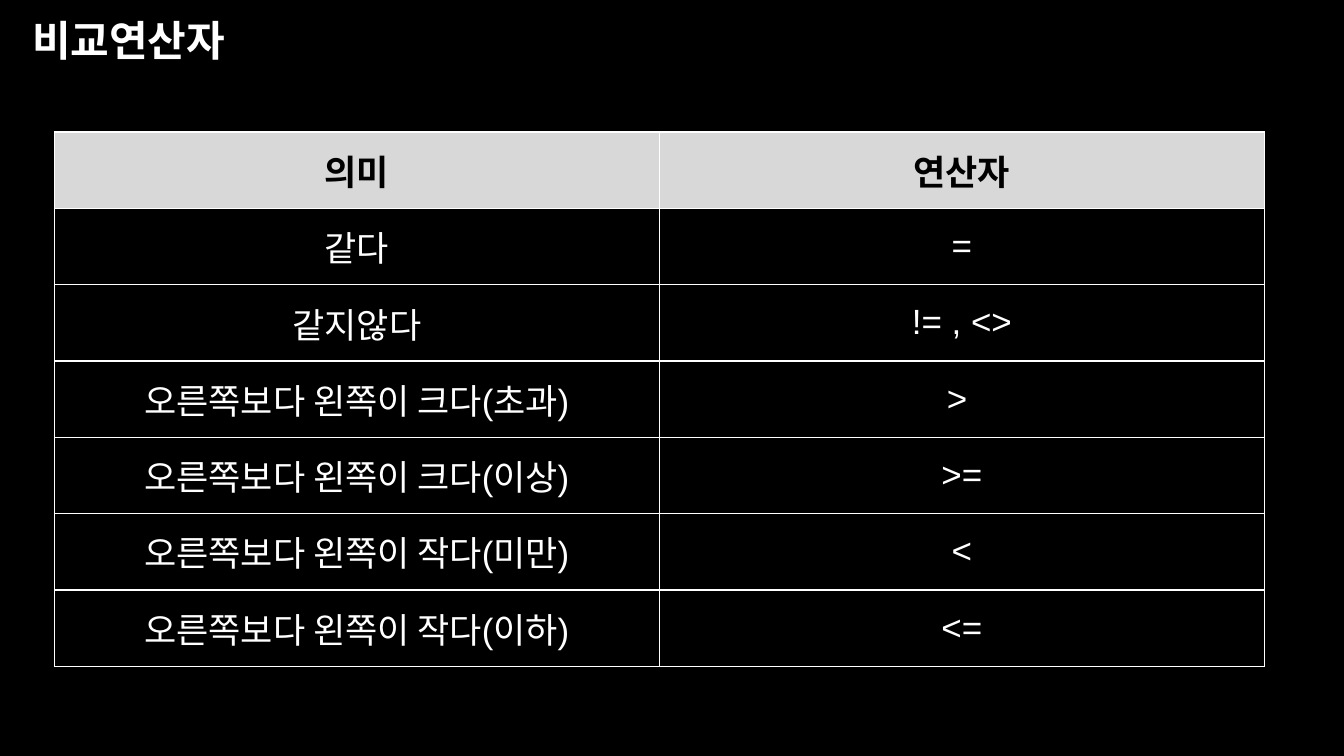
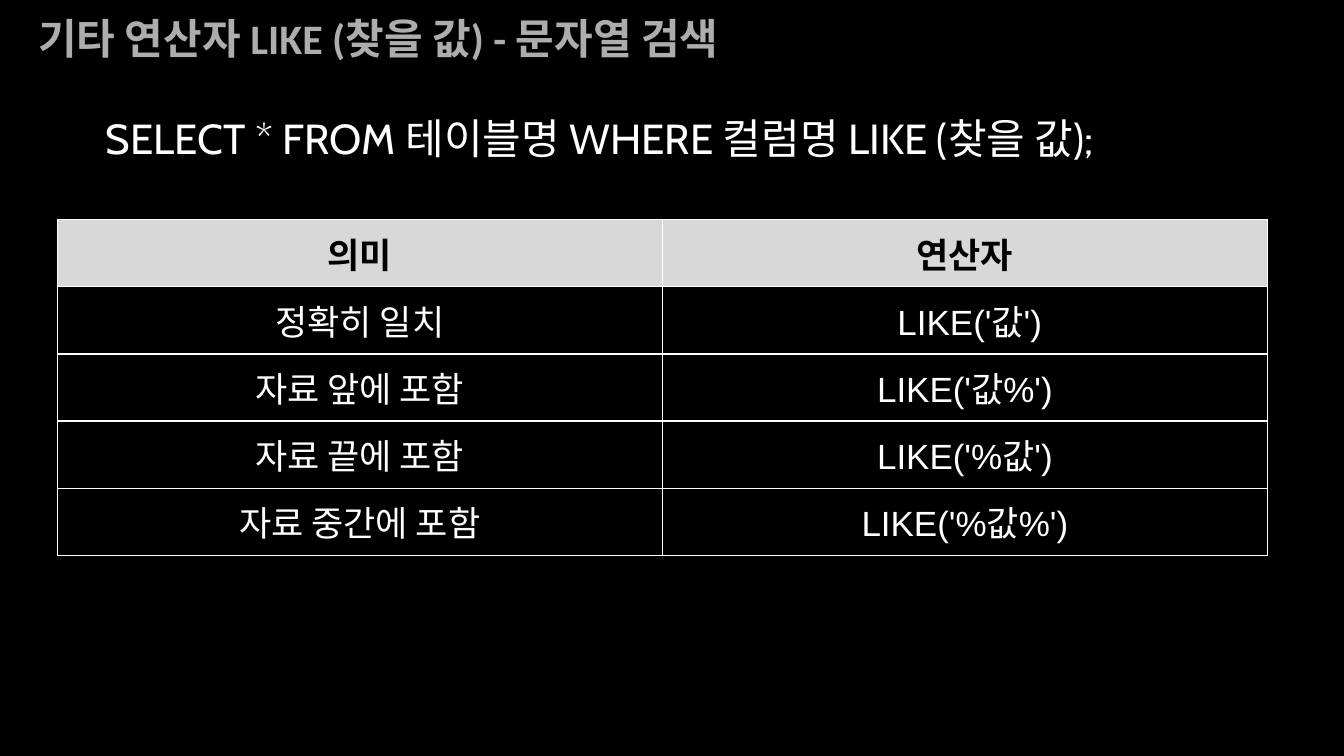
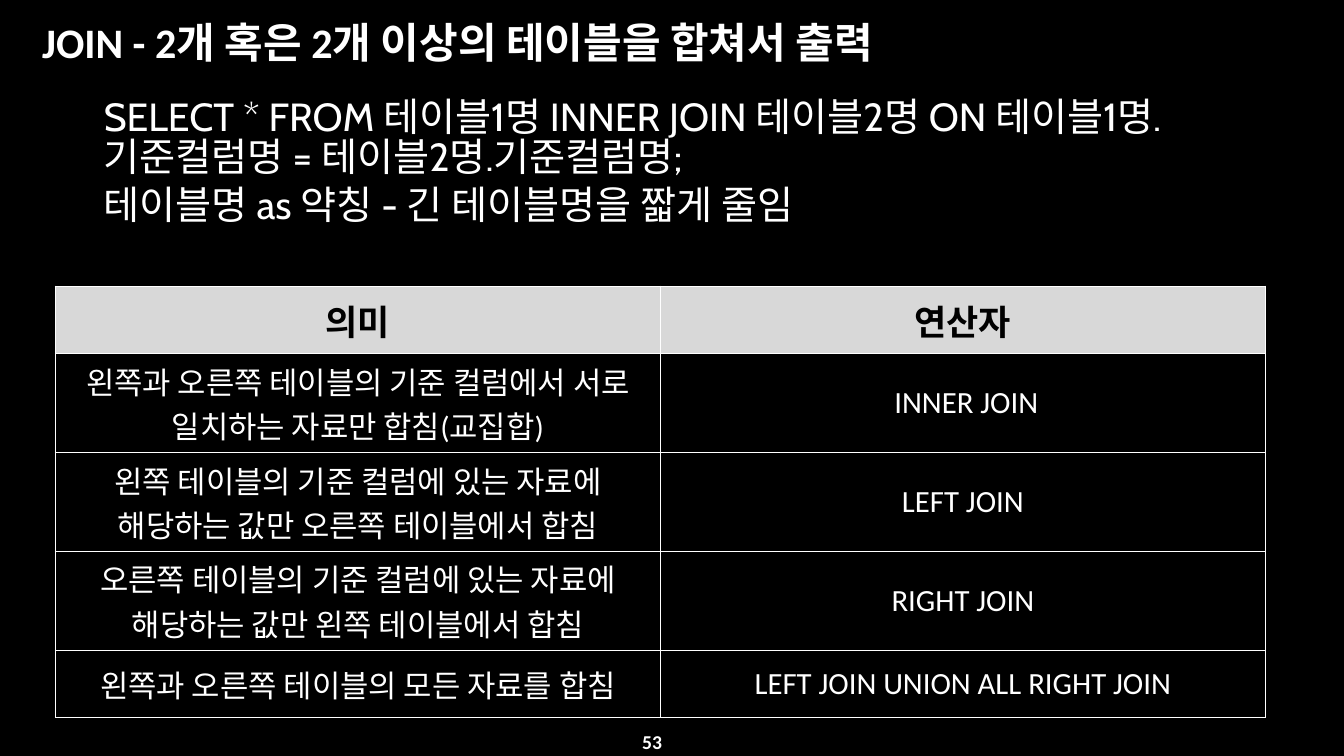
from lxml import etree
from pptx import Presentation
from pptx import util as u
from pptx.dml import color
from pptx.enum import text
from pptx.oxml import ns

WIDTH, HEIGHT = 13.33, 7.5
CONTENT_WIDTH = 12
BLACK, WHITE, GREY, HEADER_GREY = "000000", "FFFFFF", "ADADAD", "D8D8D8"
HEADINGS = ("의미", "연산자")
BODY_INDENT = 0.48

COMPARISONS = [
    ("같다", "="),
    ("같지않다", "!= , <>"),
    ("오른쪽보다 왼쪽이 크다(초과)", "> "),
    ("오른쪽보다 왼쪽이 크다(이상)", ">="),
    ("오른쪽보다 왼쪽이 작다(미만)", "<"),
    ("오른쪽보다 왼쪽이 작다(이하)", "<="),
]
LIKE_PATTERNS = [
    ("정확히 일치", " LIKE('값')"),
    ("자료 앞에 포함", "LIKE('값%')"),
    ("자료 끝에 포함", "LIKE('%값')"),
    ("자료 중간에 포함", "LIKE('%값%')"),
]
JOINS = [
    ("왼쪽과 오른쪽 테이블의 기준 컬럼에서 서로 일치하는 자료만 합침(교집합)", " INNER JOIN"),
    ("왼쪽 테이블의 기준 컬럼에 있는 자료에 해당하는 값만 오른쪽 테이블에서 합침", "LEFT JOIN"),
    ("오른쪽 테이블의 기준 컬럼에 있는 자료에 해당하는 값만 왼쪽 테이블에서 합침", "RIGHT JOIN"),
    ("왼쪽과 오른쪽 테이블의 모든 자료를 합침", "LEFT JOIN UNION ALL RIGHT JOIN"),
]


def rgb(value):
    """Turn a hex string into a colour."""
    return color.RGBColor.from_string(value)


def style(paragraph, size, font, fill=WHITE, bold=False):
    """Format every run of a paragraph."""
    for run in paragraph.runs:
        run.font.size = u.Pt(size)
        run.font.name = font
        run.font.bold = bold
        run.font.color.rgb = rgb(fill)


def add_text(slide, box, lines, size, font, fill=WHITE, bold=False, spacing=0.9):
    """Add a wrapping text box with one paragraph per line."""
    shape = slide.shapes.add_textbox(*(u.Inches(length) for length in box))
    frame = shape.text_frame
    frame.word_wrap = True
    frame.text = "\n".join(lines)
    for paragraph in frame.paragraphs:
        paragraph.line_spacing = spacing
        style(paragraph, size, font, fill, bold)
    return frame


def add_title(slide, left, top, height, title, font, fill=WHITE):
    """Add the slide heading."""
    frame = add_text(slide, (left, top, CONTENT_WIDTH, height), [title], 30, font, fill, True)
    frame.vertical_anchor = text.MSO_ANCHOR.MIDDLE


def add_syntax(slide, left, top, height, lines, size, spacing):
    """Add the indented query syntax under the heading."""
    frame = add_text(slide, (left, top, CONTENT_WIDTH, height), lines, size, "Cabin", spacing=spacing)
    frame.margin_left = u.Inches(BODY_INDENT)
    for paragraph in frame.paragraphs[1:]:
        paragraph.space_before = u.Pt(5.6)


def add_page_number(slide, number):
    """Add the page number at the foot of the slide."""
    frame = add_text(slide, (WIDTH * 0.45, HEIGHT * 0.95, WIDTH * 0.05, 0.47),
                     [number], 14, "Calibri", bold=True, spacing=1)
    frame.vertical_anchor = text.MSO_ANCHOR.MIDDLE
    frame.paragraphs[0].alignment = text.PP_ALIGN.RIGHT


def outline(cell):
    """Draw a thin white border on all sides of a cell."""
    properties = cell._tc.get_or_add_tcPr()
    for side in ("a:lnL", "a:lnR", "a:lnT", "a:lnB"):
        line = etree.SubElement(properties, ns.qn(side), w=str(u.Pt(1)))
        solid = etree.SubElement(line, ns.qn("a:solidFill"))
        etree.SubElement(solid, ns.qn("a:srgbClr"), val=WHITE)


def fill_cell(cell, content, is_header, size, font):
    """Write and format one table cell."""
    outline(cell)
    if is_header:
        cell.fill.solid()
        cell.fill.fore_color.rgb = rgb(HEADER_GREY)
    else:
        cell.fill.background()
    cell.vertical_anchor = text.MSO_ANCHOR.MIDDLE
    cell.text_frame.text = content
    paragraph = cell.text_frame.paragraphs[0]
    paragraph.alignment = text.PP_ALIGN.CENTER
    if is_header:
        style(paragraph, 25, "Arial", BLACK, True)
    else:
        style(paragraph, size, font)


def add_meaning_table(slide, left, top, heights, entries, size=25, font="Arial"):
    """Add a two-column table of meanings and operators."""
    rows = [HEADINGS, *entries]
    box = (left, top, CONTENT_WIDTH, sum(heights))
    frame = slide.shapes.add_table(len(rows), len(HEADINGS), *(u.Inches(length) for length in box))
    table = frame.table
    table.horz_banding = False
    for index, (row, height) in enumerate(zip(rows, heights)):
        table.rows[index].height = u.Inches(height)
        for column, content in enumerate(row):
            fill_cell(table.cell(index, column), content, index == 0, size, font)


def add_slide(presentation):
    """Add a blank slide."""
    return presentation.slides.add_slide(presentation.slide_layouts[6])


def build_comparison(slide):
    """Build the slide on comparison operators."""
    add_title(slide, 0.22, 0.03, 0.8, "비교연산자", "Cabin")
    add_meaning_table(slide, 0.54, 1.31, [5.3 / 7] * 7, COMPARISONS)


def build_like(slide):
    """Build the slide on string search."""
    add_title(slide, 0.28, -0.02, 0.86, "기타 연산자 LIKE (찾을 값) - 문자열 검색", "Calibri", GREY)
    add_syntax(slide, 0.57, 1.12, 0.63,
               ["SELECT * FROM 테이블명 WHERE 컬럼명 LIKE (찾을 값);"], 30, 0.9)
    add_meaning_table(slide, 0.57, 2.18, [3.33 / 5] * 5, LIKE_PATTERNS)


def build_join(slide):
    """Build the slide on joins."""
    add_title(slide, 0.32, 0, 0.89, "JOIN - 2개 혹은 2개 이상의 테이블을 합쳐서 출력", "Calibri")
    add_syntax(slide, 0.55, 0.94, 2, [
        "SELECT * FROM 테이블1명 INNER JOIN 테이블2명 ON 테이블1명.기준컬럼명 = 테이블2명.기준컬럼명;",
        "테이블명 as 약칭 - 긴 테이블명을 짧게 줄임",
    ], 28, 0.85)
    add_page_number(slide, "53")
    add_meaning_table(slide, 0.55, 2.84, [0.67, 0.98, 0.98, 0.98, 0.67], JOINS, 22, "Calibri")


def main():
    """Build and save the presentation."""
    presentation = Presentation()
    presentation.slide_width = u.Inches(WIDTH)
    presentation.slide_height = u.Inches(HEIGHT)
    background = presentation.slide_master.background.fill
    background.solid()
    background.fore_color.rgb = rgb(BLACK)
    for build in (build_comparison, build_like, build_join):
        build(add_slide(presentation))
    presentation.save("out.pptx")


if __name__ == "__main__":
    main()
